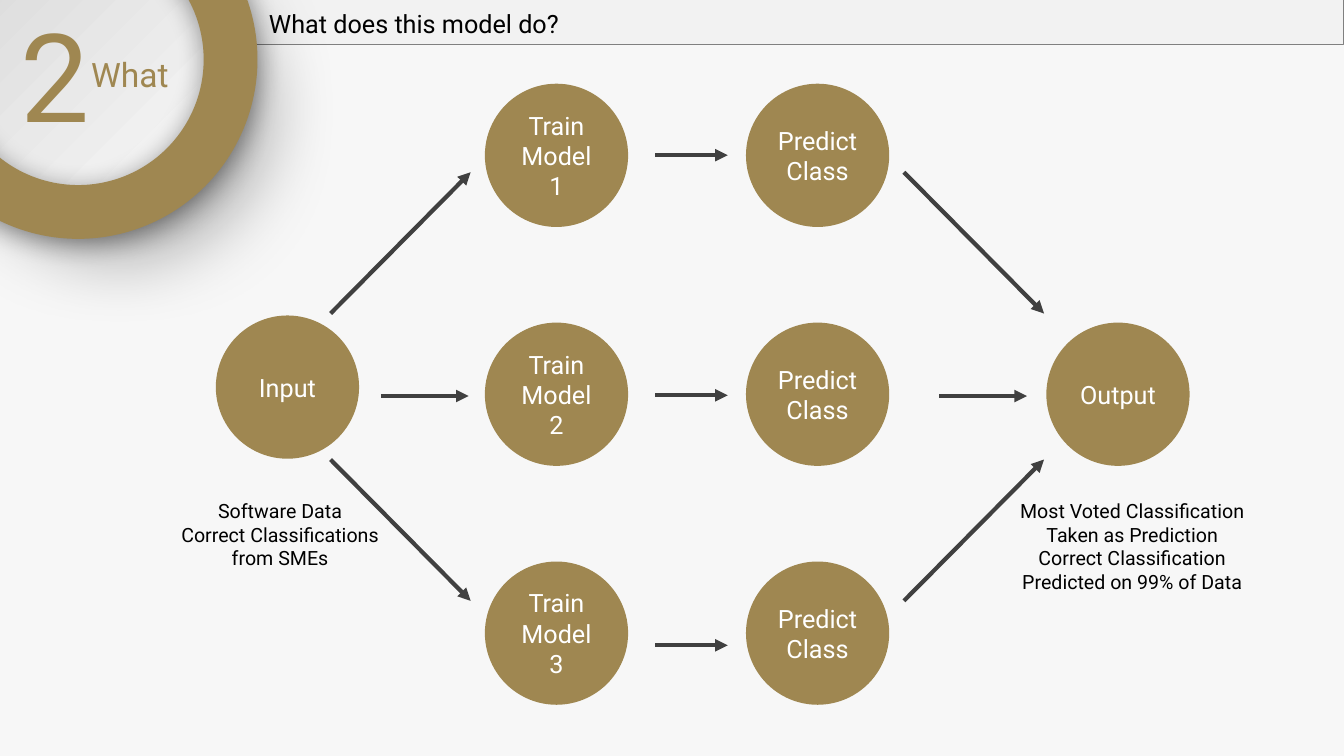
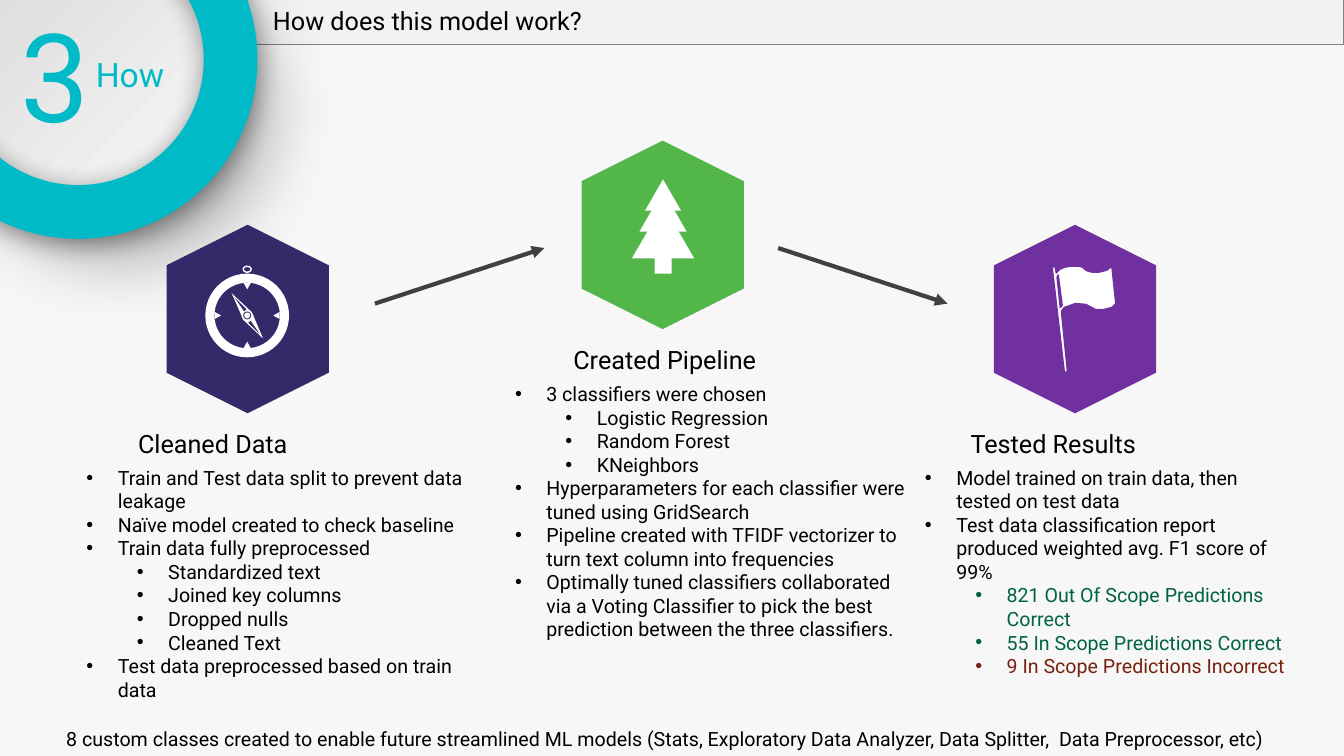
from lxml import etree
from pptx import Presentation
from pptx.dml.color import RGBColor
from pptx.enum.shapes import MSO_CONNECTOR, MSO_SHAPE as Preset
from pptx.enum.text import MSO_ANCHOR as Anchor, PP_ALIGN as Align
from pptx.oxml import parse_xml
from pptx.oxml.ns import nsdecls, qn
from pptx.util import Cm, Pt

FONT = "Roboto"
BACKGROUND = RGBColor(0xF7, 0xF7, 0xF7)
BAND = RGBColor(0xF2, 0xF2, 0xF2)
GREY = RGBColor(0x80, 0x80, 0x80)
DARK = RGBColor(0x40, 0x40, 0x40)
BLACK = RGBColor(0, 0, 0)
WHITE = RGBColor(0xFF, 0xFF, 0xFF)
GOLD = RGBColor(0x9F, 0x87, 0x51)
CYAN = RGBColor(0x00, 0xBA, 0xC8)
INDIGO = RGBColor(0x34, 0x2A, 0x69)
LEAF = RGBColor(0x53, 0xB6, 0x49)
PURPLE = RGBColor(0x70, 0x30, 0xA0)
GREEN = RGBColor(0x00, 0x64, 0x3C)
RED = RGBColor(0x77, 0x22, 0x0E)

DISC_GRADIENT = (
    f'<a:gradFill {nsdecls("a")} rotWithShape="1"><a:gsLst>'
    '<a:gs pos="0"><a:srgbClr val="F2F2F2"/></a:gs>'
    '<a:gs pos="22000"><a:srgbClr val="F2F2F2"/></a:gs>'
    '<a:gs pos="94000"><a:srgbClr val="D9D9D9"/></a:gs></a:gsLst>'
    '<a:path path="circle"><a:fillToRect l="100000" t="100000"/></a:path>'
    '<a:tileRect r="-100000" b="-100000"/></a:gradFill>'
)


def add_preset(slide, kind, place, fill=None, line=None, weight=1):
    """Add a preset shape; place is left, top, width, height in cm."""
    shape = slide.shapes.add_shape(kind, *map(Cm, place))
    shape.shadow.inherit = False
    if fill is None:
        shape.fill.background()
    else:
        shape.fill.solid()
        shape.fill.fore_color.rgb = fill
    if line is None:
        shape.line.fill.background()
    else:
        shape.line.color.rgb = line
        shape.line.width = Pt(weight)
    return shape


def write(box, text, size, color=BLACK, align=Align.LEFT):
    box.text_frame.text = text
    box.text_frame.word_wrap = True
    for para in box.text_frame.paragraphs:
        para.alignment = align
        for span in para.runs:
            span.font.name = FONT
            span.font.size = Pt(size)
            span.font.color.rgb = color


deck = Presentation()
deck.slide_width, deck.slide_height = Cm(33.87), Cm(19.05)
master_fill = deck.slide_master.background.fill
master_fill.solid()
master_fill.fore_color.rgb = BACKGROUND

# Shared header: band, title, numbered disc and coloured ring
headers = [
    ("2", "What", "What does this model do?", (6.53, 0.08), GOLD),
    ("3", "How", "How does this model work?", (6.63, 0), CYAN),
]
for number, word, title, corner, accent in headers:
    page = deck.slides.add_slide(deck.slide_layouts[6])
    add_preset(page, Preset.RECTANGLE, (0, 0, 33.87, 1.12), BAND, GREY, 0.75)

    disc = add_preset(page, Preset.OVAL, (-1.35, -1.6, 6.99, 6.99), None, GREY, 2.5)
    ring = add_preset(page, Preset.DONUT, (-2.55, -3.02, 9.04, 9.04), accent)
    ring.adjustments[0] = 0.15
    properties = disc.element.spPr
    properties.replace(properties.find(qn("a:noFill")), parse_xml(DISC_GRADIENT))
    for shape, blur, distance, angle in ((disc, 58, 34, 45), (ring, 19, 3, 90)):
        shape.element.spPr.find(qn("a:effectLst")).append(parse_xml(
            f'<a:outerShdw {nsdecls("a")} blurRad="{Pt(blur)}" dist="{Pt(distance)}" '
            f'dir="{angle * 60000}" algn="ctr" rotWithShape="0"><a:srgbClr val="000000">'
            '<a:alpha val="40000"/></a:srgbClr></a:outerShdw>'))

    box = page.shapes.add_textbox(*map(Cm, (*corner, 16.92, 1.02)))
    write(box, title, 18)
    for text, size, place in (
        (number, 88, (0.25, -0.15, 2.26, 4.01)),
        (word, 24, (1.98, 1.24, 2.59, 1.27)),
    ):
        box = page.shapes.add_textbox(*map(Cm, place))
        write(box, text, size, accent, Align.CENTER)
        box.text_frame.vertical_anchor = Anchor.MIDDLE

what, how = deck.slides

# What: three models vote
INPUT_X, TRAIN_X, PREDICT_X, OUTPUT_X = 5.44, 12.22, 18.8, 26.37
ROW_TOP, ROW_STEP, CIRCLE = 2.11, 6.02, 3.61
circles = [
    ("Input", INPUT_X, 7.95),
    ("Output", OUTPUT_X, ROW_TOP + ROW_STEP),
]
for row in range(3):
    top = ROW_TOP + row * ROW_STEP
    circles.append((f"Train\nModel {row + 1}", TRAIN_X, top))
    circles.append(("Predict Class", PREDICT_X, top))
for text, left, top in circles:
    circle = add_preset(what, Preset.OVAL, (left, top, CIRCLE, CIRCLE), GOLD)
    write(circle, text, 18, WHITE, Align.CENTER)

captions = [
    ("Software Data\nCorrect Classifications from SMEs", (4.09, 12.45, 5.94, 2.06)),
    ("Most Voted Classification Taken as Prediction\n"
     "Correct Classification Predicted on 99% of Data", (24.99, 12.45, 7.09, 2.64)),
]
for text, place in captions:
    write(what.shapes.add_textbox(*map(Cm, place)), text, 14, align=Align.CENTER)

# How: three steps, each a heading over a bullet list of (level, text, colour)
steps = [
    ("Cleaned Data", 3.23, 10.67, 1.93, 10.11, [
        (0, "Train and Test data split to prevent data leakage", BLACK),
        (0, "Naïve model created to check baseline", BLACK),
        (0, "Train data fully preprocessed", BLACK),
        (1, "Standardized text", BLACK),
        (1, "Joined key columns", BLACK),
        (1, "Dropped nulls", BLACK),
        (1, "Cleaned Text", BLACK),
        (0, "Test data preprocessed based on train data", BLACK),
    ]),
    ("Created Pipeline", 14.2, 8.56, 12.73, 10.41, [
        (0, "3 classifiers were chosen", BLACK),
        (1, "Logistic Regression", BLACK),
        (1, "Random Forest", BLACK),
        (1, "KNeighbors", BLACK),
        (0, "Hyperparameters for each classifier were tuned using GridSearch", BLACK),
        (0, "Pipeline created with TFIDF vectorizer to turn text column into frequencies",
         BLACK),
        (0, "Optimally tuned classifiers collaborated via a Voting Classifier to pick "
            "the best prediction between the three classifiers.", BLACK),
    ]),
    ("Tested Results", 24.21, 10.67, 23.06, 9.88, [
        (0, "Model trained on train data, then tested on test data", BLACK),
        (0, "Test data classification report produced weighted avg. F1 score of 99%",
         BLACK),
        (1, "821 Out Of Scope Predictions Correct", GREEN),
        (1, "55 In Scope Predictions Correct", GREEN),
        (1, "9 In Scope Predictions Incorrect", RED),
    ]),
]
for heading, heading_left, top, list_left, list_width, items in steps:
    box = how.shapes.add_textbox(Cm(heading_left), Cm(top), Cm(6), Cm(1.02))
    write(box, heading, 18)
    box = how.shapes.add_textbox(Cm(list_left), Cm(top + 0.94), Cm(list_width), Cm(7.44))
    write(box, "\n".join(text for _, text, _ in items), 14)
    for para, (level, _, color) in zip(box.text_frame.paragraphs, items):
        para.level = level
        para.runs[0].font.color.rgb = color
        settings = para._p.get_or_add_pPr()
        settings.set("marL", str(Cm(0.79 + 1.27 * level)))
        settings.set("indent", str(-Cm(0.79)))
        etree.SubElement(settings, qn("a:buFont")).set("typeface", "Arial")
        etree.SubElement(settings, qn("a:buChar")).set("char", "•")

box = how.shapes.add_textbox(Cm(1.42), Cm(18.2), Cm(32), Cm(0.85))
write(box, "8 custom classes created to enable future streamlined ML models (Stats, "
           "Exploratory Data Analyzer, Data Splitter,  Data Preprocessor, etc)", 14)

HEX_LONG, HEX_SHORT = 4.75, 4.09
for center_x, center_y, color in (
    (6.24, 8.04, INDIGO), (16.7, 5.92, LEAF), (27.09, 8.04, PURPLE),
):
    place = (center_x - HEX_LONG / 2, center_y - HEX_SHORT / 2, HEX_LONG, HEX_SHORT)
    add_preset(how, Preset.HEXAGON, place, color).rotation = 90

# Compass dial
DIAL_X, DIAL_Y, MARK_RADIUS = 6.23, 7.95, 0.74
add_preset(how, Preset.OVAL, (6.13, 6.71, 0.2, 0.15), None, WHITE, 1)
add_preset(how, Preset.OVAL, (DIAL_X - 0.94, DIAL_Y - 0.94, 1.88, 1.88), None, WHITE, 6.5)
for step_x, step_y, turn in ((0, 1, 0), (-1, 0, 90), (0, -1, 180), (1, 0, 270)):
    left = DIAL_X + step_x * MARK_RADIUS - 0.09
    top = DIAL_Y + step_y * MARK_RADIUS - 0.08
    mark = add_preset(how, Preset.ISOSCELES_TRIANGLE, (left, top, 0.18, 0.16), WHITE)
    mark.rotation = turn

# Tree
TREE_X = 16.71
for top, width, height in ((4.52, 0.91, 0.79), (4.8, 1.19, 1.04), (5.16, 1.57, 1.35)):
    place = (TREE_X - width / 2, top, width, height)
    add_preset(how, Preset.ISOSCELES_TRIANGLE, place, WHITE)
add_preset(how, Preset.RECTANGLE, (TREE_X - 0.21, 6.27, 0.43, 0.63), WHITE)

# Needle and flag outlines, in hundredths of a centimetre; later contours are holes
needle = [
    [(584, 739), (605, 787), (612, 805), (663, 853), (635, 787)],
    [(632, 808), (658, 846), (625, 813)],
    [(589, 747), (622, 780), (615, 785)],
]
flag = [
    [(2662, 688), (2672, 678), (2685, 673), (2697, 671), (2718, 671), (2728, 673),
     (2733, 678), (2741, 683), (2753, 686), (2769, 686), (2789, 681), (2802, 671),
     (2812, 765), (2802, 775), (2781, 780), (2761, 780), (2746, 772), (2736, 767),
     (2710, 765), (2682, 775), (2675, 785), (2690, 935), (2687, 940), (2682, 935),
     (2652, 676), (2654, 671), (2659, 673)],
    [(2667, 693), (2664, 699), (2672, 775), (2677, 770)],
]
for contours, edge in ((needle, None), (flag, PURPLE)):
    builder = how.shapes.build_freeform(*contours[0][0], scale=Cm(0.01))
    builder.add_line_segments(contours[0][1:])
    for hole in contours[1:]:
        builder.move_to(*hole[0])
        builder.add_line_segments(hole[1:])
    icon = builder.convert_to_shape()
    icon.shadow.inherit = False
    icon.fill.solid()
    icon.fill.fore_color.rgb = WHITE
    if edge is None:
        icon.line.fill.background()
    else:
        icon.line.color.rgb = edge
        icon.line.width = Pt(1)

for size, color in ((0.2, INDIGO), (0.15, WHITE)):
    place = (DIAL_X - size / 2, DIAL_Y - size / 2, size, size)
    add_preset(how, Preset.OVAL, place, color)

# Arrows: start x, start y, end x, end y
what_arrows = [
    (8.33, 7.9, 11.86, 4.34), (9.6, 9.98, 11.81, 9.98), (8.33, 11.58, 11.86, 15.14),
    (22.78, 4.34, 26.31, 7.9), (23.67, 9.98, 25.88, 9.98), (22.78, 15.14, 26.31, 11.58),
]
what_arrows += [(16.51, y, 18.34, y) for y in (3.91, 9.96, 16.26)]
how_arrows = [(9.45, 7.65, 13.72, 6.25), (19.61, 6.25, 23.88, 7.65)]
for page, arrows in ((what, what_arrows), (how, how_arrows)):
    for ends in arrows:
        arrow = page.shapes.add_connector(MSO_CONNECTOR.STRAIGHT, *map(Cm, ends))
        arrow.line.color.rgb = DARK
        arrow.line.width = Pt(3)
        etree.SubElement(arrow.line._get_or_add_ln(), qn("a:tailEnd")).set("type", "triangle")
        etree.SubElement(arrow._element.spPr, qn("a:effectLst"))

deck.save("out.pptx")
